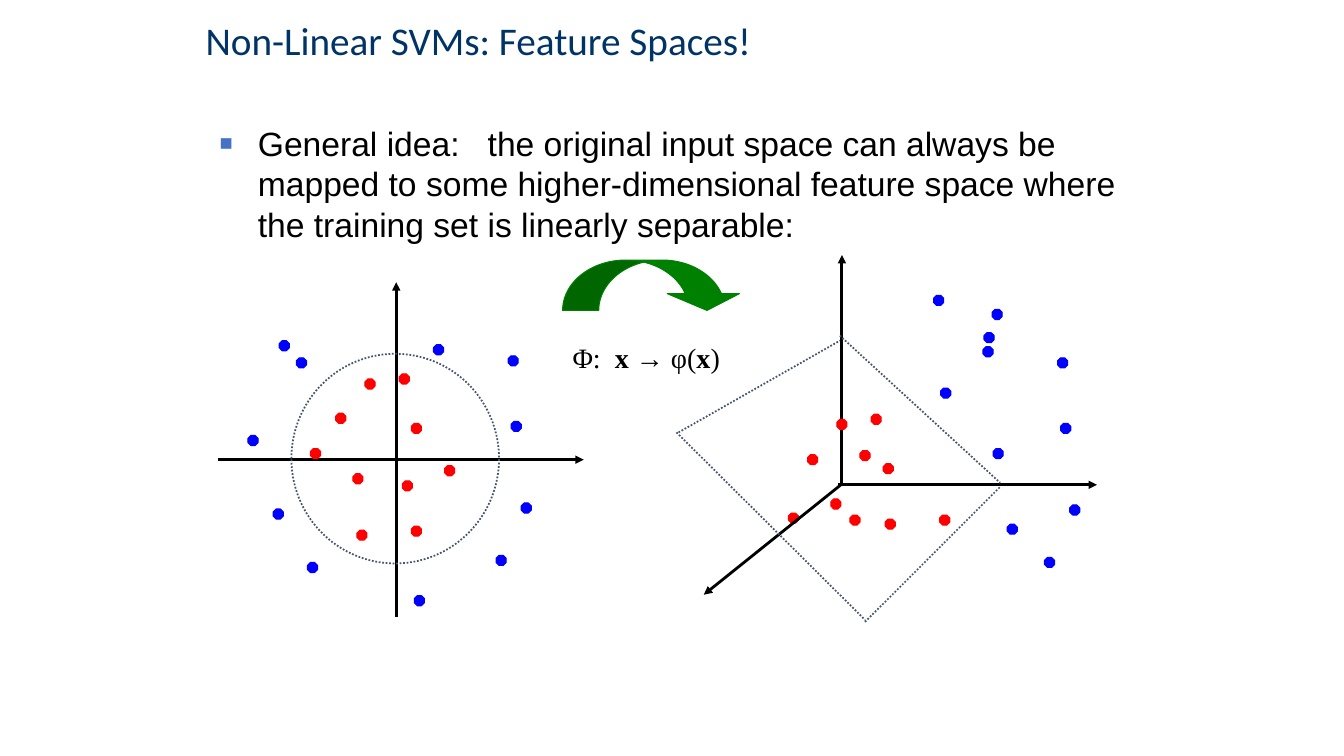
"""Build the slide that explains non-linear SVMs through feature spaces."""
from dataclasses import dataclass

from lxml.etree import SubElement
from pptx import Presentation
from pptx.dml.color import RGBColor
from pptx.enum.dml import MSO_LINE
from pptx.enum.shapes import MSO_CONNECTOR, MSO_SHAPE
from pptx.enum.text import MSO_ANCHOR, PP_ALIGN
from pptx.oxml.ns import qn
from pptx.shapes.autoshape import Shape
from pptx.slide import Slide
from pptx.text.text import TextFrame
from pptx.util import Pt

PX = 9144
BLACK = RGBColor(0x00, 0x00, 0x00)
NAVY = RGBColor(0x00, 0x33, 0x66)
SLATE = RGBColor(0x44, 0x54, 0x6A)
RED = RGBColor(0xFF, 0x00, 0x00)
BLUE = RGBColor(0x00, 0x00, 0xFF)
GREEN = RGBColor(0x00, 0x80, 0x00)
BULLET_BLUE = RGBColor(0x44, 0x72, 0xC4)
DOT_SIZE = 10


@dataclass(frozen=True)
class Box:
    left: int
    top: int
    width: int
    height: int

    def emu(self) -> tuple[int, int, int, int]:
        return self.left * PX, self.top * PX, self.width * PX, self.height * PX


@dataclass(frozen=True)
class Segment:
    x1: int
    y1: int
    x2: int
    y2: int


@dataclass(frozen=True)
class Piece:
    text: str
    bold: bool = False
    tracking: float = 0


@dataclass(frozen=True)
class DotGroup:
    color: RGBColor
    corners: tuple[tuple[int, int], ...]


INPUT_AXES = (Segment(393, 612, 393, 280), Segment(216, 456, 579, 456))
INPUT_DOTS = (
    DotGroup(RED, ((396, 371), (333, 410), (350, 470), (408, 522), (362, 376),
                   (308, 445), (354, 526), (408, 420), (441, 462), (399, 477))),
    DotGroup(BLUE, ((507, 418), (492, 551), (246, 432), (411, 591), (517, 499), (305, 558),
                    (271, 505), (277, 338), (430, 342), (294, 355), (504, 353))),
)
FEATURE_AXES = (Segment(835, 479, 835, 253), Segment(831, 481, 1088, 481))
FEATURE_DOTS = (
    DotGroup(RED, ((864, 411), (801, 451), (843, 511), (932, 511), (830, 416), (853, 447),
                   (878, 515), (876, 460), (824, 495), (782, 509))),
    DotGroup(BLUE, ((1052, 420), (1036, 553), (984, 307), (985, 445), (1061, 501), (933, 385),
                    (999, 520), (976, 330), (975, 344), (926, 293), (1049, 355))),
)
DEPTH_AXIS = Segment(834, 481, 698, 590)
PLANE_EDGES = (Segment(833, 333, 992, 479), Segment(858, 617, 992, 483),
               Segment(673, 429, 833, 338), Segment(671, 429, 858, 615))


def write(frame: TextFrame, pieces: tuple[Piece, ...], *, font: str, size: int,
          color: RGBColor, bullet: bool = False) -> None:
    frame.word_wrap = True
    frame.vertical_anchor = MSO_ANCHOR.TOP
    paragraph = frame.paragraphs[0]
    paragraph.alignment = PP_ALIGN.LEFT
    if bullet:
        properties = paragraph._p.get_or_add_pPr()
        properties.set("marL", str(38 * PX))
        properties.set("indent", str(-38 * PX))
        bullet_color = SubElement(properties, qn("a:buClr"))
        SubElement(bullet_color, qn("a:srgbClr"), val=str(BULLET_BLUE))
        SubElement(properties, qn("a:buSzPct"), val="65000")
        SubElement(properties, qn("a:buFont"), typeface=font)
        SubElement(properties, qn("a:buChar"), char="■")
    for piece in pieces:
        run = paragraph.add_run()
        run.text = piece.text
        run.font.name = font
        run.font.size = Pt(size)
        run.font.bold = piece.bold
        run.font.color.rgb = color
        if piece.tracking:
            run._r.get_or_add_rPr().set("spc", str(round(piece.tracking * 100)))


def add_line(slide: Slide, segment: Segment, *, color: RGBColor, width: float,
             dotted: bool = False, arrow: bool = False) -> None:
    line = slide.shapes.add_connector(MSO_CONNECTOR.STRAIGHT, segment.x1 * PX, segment.y1 * PX,
                                      segment.x2 * PX, segment.y2 * PX)
    line.line.color.rgb = color
    line.line.width = Pt(width)
    if dotted:
        line.line.dash_style = MSO_LINE.ROUND_DOT
    if arrow:
        SubElement(line.line._get_or_add_ln(), qn("a:tailEnd"), type="triangle")
    SubElement(line._element.spPr, qn("a:effectLst"))


def add_axis(slide: Slide, segment: Segment) -> None:
    add_line(slide, segment, color=BLACK, width=2, arrow=True)


def add_figure(slide: Slide, preset: MSO_SHAPE, box: Box, *, line: RGBColor,
               width: float = 0.75, fill: RGBColor | None = None) -> Shape:
    figure = slide.shapes.add_shape(preset, *box.emu())
    figure.shadow.inherit = False
    figure.line.color.rgb = line
    figure.line.width = Pt(width)
    if fill is None:
        figure.fill.background()
    else:
        figure.fill.solid()
        figure.fill.fore_color.rgb = fill
    return figure


def add_dots(slide: Slide, groups: tuple[DotGroup, ...]) -> None:
    for group in groups:
        for left, top in group.corners:
            add_figure(slide, MSO_SHAPE.OCTAGON, Box(left, top, DOT_SIZE, DOT_SIZE),
                       line=group.color, fill=group.color)


def add_input_space(slide: Slide) -> None:
    for axis in INPUT_AXES:
        add_axis(slide, axis)
    add_dots(slide, INPUT_DOTS)
    boundary = add_figure(slide, MSO_SHAPE.OVAL, Box(289, 351, 206, 208), line=SLATE, width=1.25)
    boundary.line.dash_style = MSO_LINE.ROUND_DOT


def add_feature_space(slide: Slide) -> None:
    for axis in FEATURE_AXES:
        add_axis(slide, axis)
    add_dots(slide, FEATURE_DOTS)
    add_axis(slide, DEPTH_AXIS)
    for edge in PLANE_EDGES:
        add_line(slide, edge, color=SLATE, width=1.25, dotted=True)


def add_mapping(slide: Slide) -> None:
    mapping_arrow = add_figure(slide, MSO_SHAPE.CURVED_DOWN_ARROW, Box(558, 258, 179, 50),
                               line=GREEN, fill=GREEN)
    for index, value in enumerate((0.717, 1.433, 0.333)):
        mapping_arrow.adjustments[index] = value
    formula = slide.shapes.add_textbox(*Box(558, 333, 208, 43).emu())
    write(formula.text_frame,
          (Piece("Φ:"), Piece(" ", tracking=5), Piece("x → ", bold=True), Piece("φ("),
           Piece("x", bold=True), Piece(")")),
          font="Times New Roman", size=20, color=BLACK)


def main() -> None:
    presentation = Presentation()
    presentation.slide_width = 1333 * PX
    presentation.slide_height = 750 * PX
    slide = presentation.slides.add_slide(presentation.slide_layouts[5])

    heading = slide.shapes.title
    heading.left, heading.top, heading.width, heading.height = Box(194, 11, 712, 92).emu()
    write(heading.text_frame, (Piece("Non-Linear SVMs: Feature Spaces!"),),
          font="Calibri", size=28, color=NAVY)

    general_idea = slide.shapes.add_textbox(*Box(208, 117, 943, 550).emu())
    write(general_idea.text_frame,
          (Piece("General idea:"), Piece(" ", tracking=13.34),
           Piece("the original input space can always be mapped to some higher-dimensional "
                 "feature space where the training set is linearly separable:")),
          font="Arial", size=24, color=BLACK, bullet=True)

    add_input_space(slide)
    add_feature_space(slide)
    add_mapping(slide)
    presentation.save("out.pptx")


if __name__ == "__main__":
    main()
